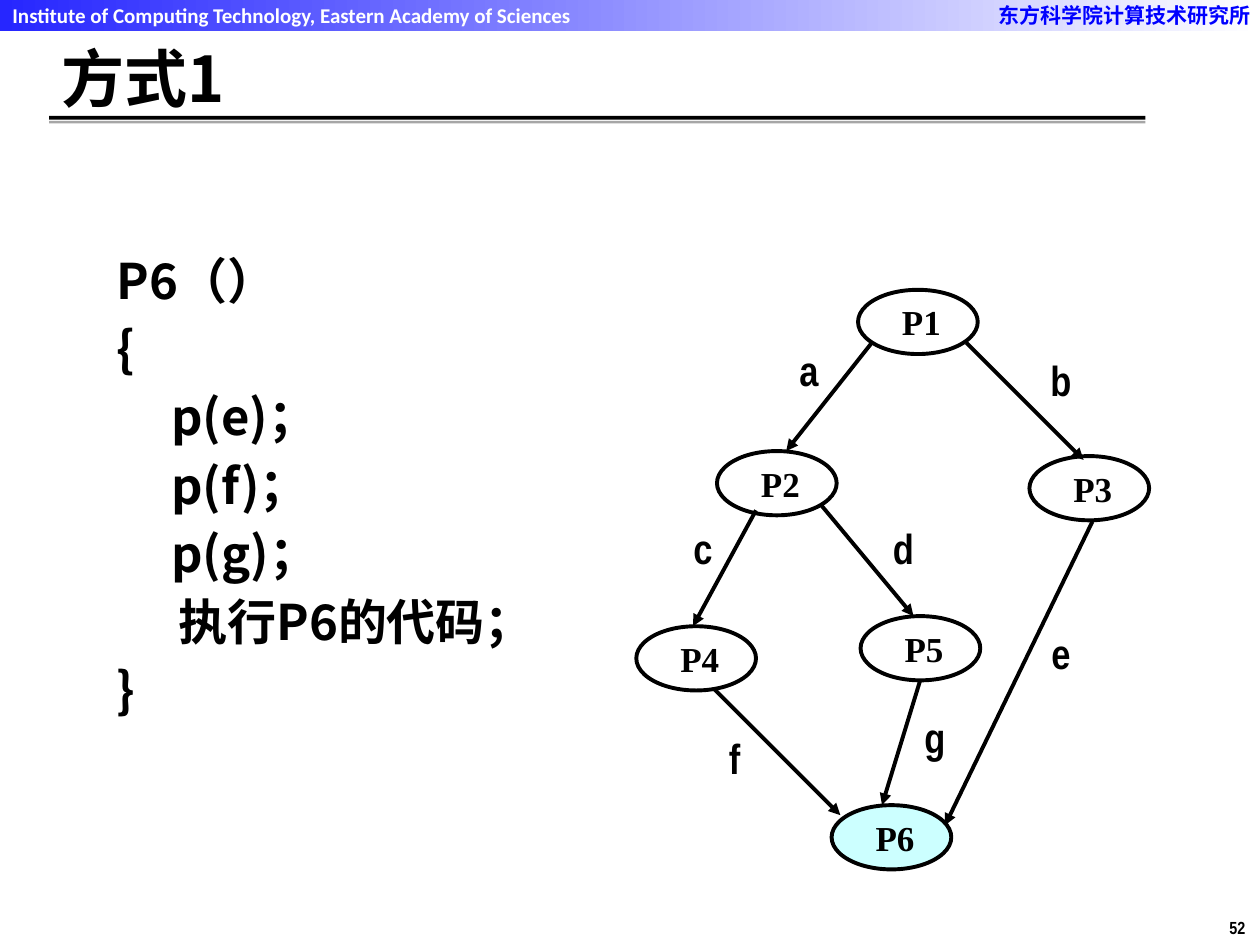
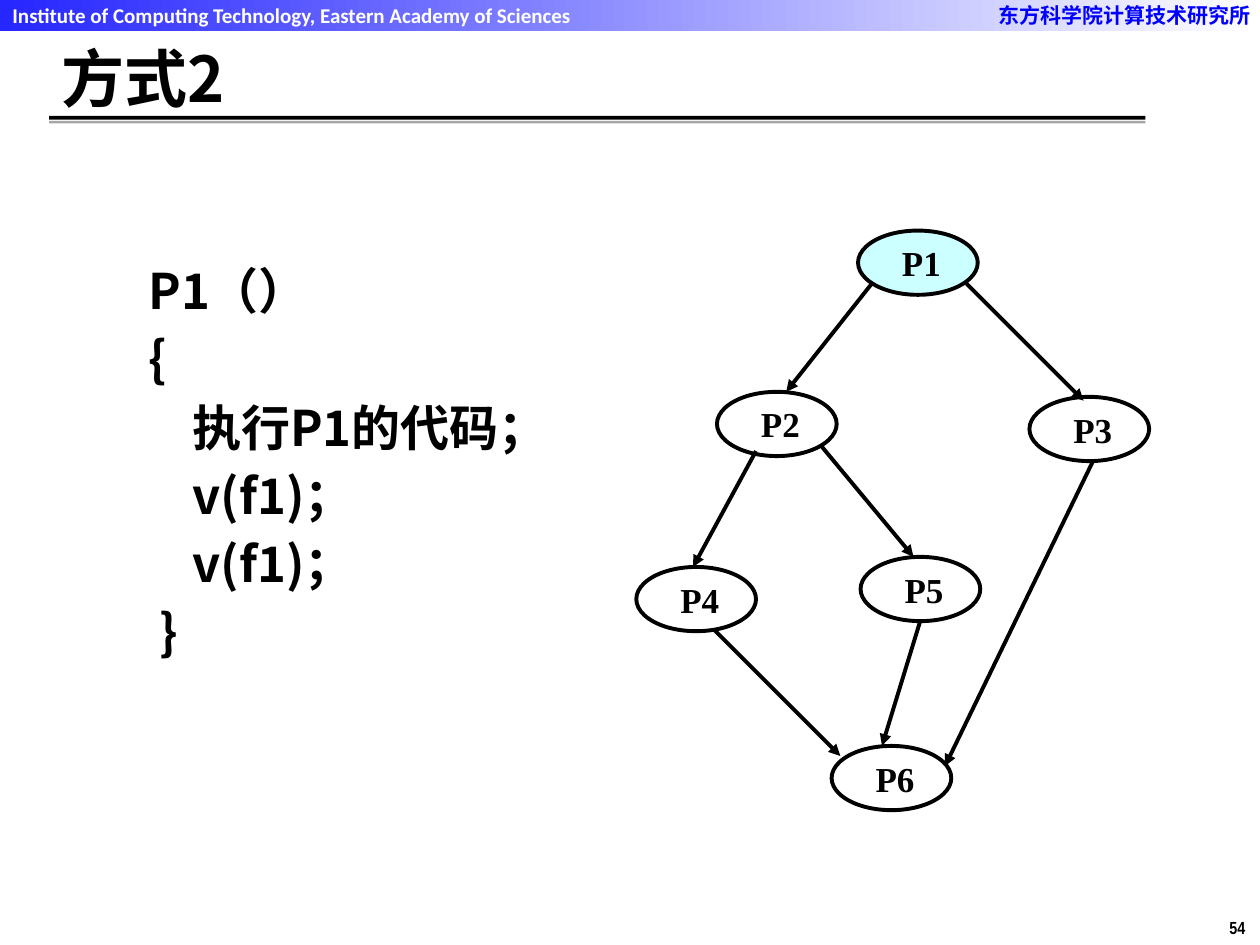
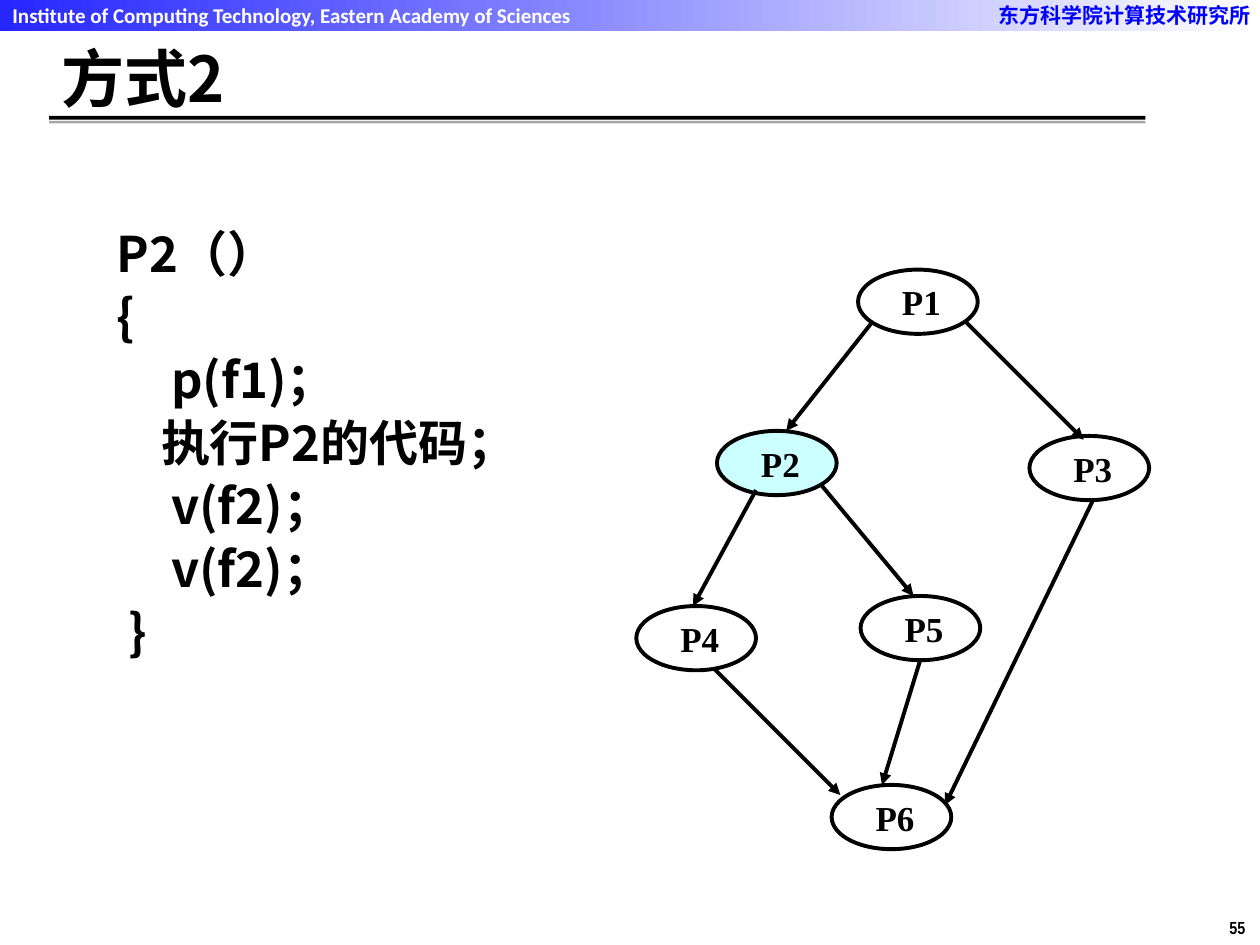
from dataclasses import dataclass

from lxml import etree
from pptx import Presentation
from pptx import util as u
from pptx.dml.color import RGBColor
from pptx.enum import shapes, text
from pptx.oxml import ns


@dataclass(frozen=True)
class Theme:
    ink: str = "000000"
    paper: str = "FFFFFF"
    blue: str = "0000FF"
    band: str = "2626FF"
    shade: str = "A6A6A6"
    highlight: str = "CCFFFF"
    sans: str = "Noto Sans CJK SC"
    header: str = "Calibri"
    narrow: str = "Arial Narrow"
    serif: str = "Times New Roman"
    title_size: int = 36
    code_size: int = 28
    label_size: int = 24
    node_size: int = 20
    header_size: int = 12
    number_size: int = 10
    stroke: float = 2.25


THEME = Theme()

HEADERS = [
    ("Institute of Computing Technology, Eastern Academy of Sciences",
     (0, -0.03, 4.75, 0.3), THEME.header, THEME.paper),
    ("东方科学院计算技术研究所", (7.83, -0.03, 2.24, 0.3), THEME.sans, THEME.blue),
]
RULES = [((0.39, 0.92, 8.7, 0.03), THEME.ink), ((0.39, 0.96, 8.7, 0.02), THEME.shade)]

NODE_SIZE = (0.95, 0.51)
NODES = {
    "P1": (6.81, 0), "P2": (5.69, 1.28), "P3": (8.17, 1.32),
    "P4": (5.05, 2.67), "P5": (6.83, 2.59), "P6": (6.6, 4.09),
}
EDGES = [
    ((6.92, 0.42), (6.24, 1.28)),
    ((7.67, 0.42), (8.6, 1.35)),
    ((6, 1.75), (5.5, 2.67)),
    ((6.51, 1.7), (7.25, 2.59)),
    ((8.67, 1.84), (7.5, 4.25)),
    ((5.67, 3.17), (6.67, 4.17)),
    ((7.3, 3.11), (7, 4.09)),
]
LABEL_SIZE = (0.5, 0.42)
EDGE_LABELS = {
    "a": (6.17, 0.42), "b": (8.17, 0.5), "c": (5.33, 1.84), "d": (6.92, 1.84),
    "e": (8.17, 2.67), "f": (5.58, 3.5), "g": (7.17, 3.34),
}

PAGES = [
    dict(title="方式1", number="52", active="P6", graph_top=2.3, labels=EDGE_LABELS,
         code_box=(0.83, 1.92, 3.53, 4.27), pitch=32,
         code=[("P6（）", 0), ("{", 0), ("p(e)；", 0.43), ("p(f)；", 0.43),
               ("p(g)；", 0.43), ("执行P6的代码；", 0.49), ("}", 0)]),
    dict(title="方式2", number="54", active="P1", graph_top=1.83, labels={},
         code_box=(1.08, 2, 4, 4.25), pitch=32,
         code=[("P1（）", 0), ("{", 0), ("执行P1的代码；", 0.35),
               ("v(f1)；", 0.35), ("v(f1)；", 0.35), ("}", 0.09)]),
    dict(title="方式2", number="55", active="P2", graph_top=2.14, labels={},
         code_box=(0.83, 1.75, 3.7, 3.88), pitch=29,
         code=[("P2（）", 0), ("{", 0), ("p(f1)；", 0.43), ("执行P2的代码；", 0.35),
               ("v(f2)；", 0.43), ("v(f2)；", 0.43), ("}", 0.09)]),
]


def inches(values):
    return [u.Inches(value) for value in values]


def style(para, face, size, color=THEME.ink, align=text.PP_ALIGN.LEFT):
    para.alignment = align
    font = para.font
    font.name, font.size, font.bold = face, u.Pt(size), True
    font.color.rgb = RGBColor.from_string(color)
    defaults = para._p.get_or_add_pPr().find(ns.qn("a:defRPr"))
    etree.SubElement(defaults, ns.qn("a:ea")).set("typeface", face)


def set_margins(frame, left=0, top=0, right=0, bottom=0):
    frame.margin_left, frame.margin_top, frame.margin_right, frame.margin_bottom = inches(
        (left, top, right, bottom))


def add_text(page, words, place, face, size, color=THEME.ink,
             align=text.PP_ALIGN.LEFT, wrap=True):
    frame = page.shapes.add_textbox(*inches(place)).text_frame
    frame.word_wrap = wrap
    frame.vertical_anchor = text.MSO_ANCHOR.MIDDLE
    frame.text = words
    style(frame.paragraphs[0], face, size, color, align)
    return frame


def add_shape(page, kind, place, color=None):
    shape = page.shapes.add_shape(kind, *inches(place))
    shape.shadow.inherit = False
    shape.line.fill.background()
    if color:
        shape.fill.solid()
        shape.fill.fore_color.rgb = RGBColor.from_string(color)
    return shape


def furnish_layout(layout, page):
    for holder in list(layout.placeholders):
        if holder.placeholder_format.type != shapes.PP_PLACEHOLDER.TITLE:
            layout.shapes.element.remove(holder.element)
    band = add_shape(page, shapes.MSO_SHAPE.RECTANGLE, (0, 0, 10, 0.25))
    band.fill.gradient()
    band.fill.gradient_angle = 0
    for stop, color in zip(band.fill.gradient_stops, (THEME.band, THEME.paper)):
        stop.color.rgb = RGBColor.from_string(color)
    for words, place, face, color in HEADERS:
        add_text(page, words, place, face, THEME.header_size, color)
    for place, color in RULES:
        add_shape(page, shapes.MSO_SHAPE.RECTANGLE, place, color)
    for shape in list(page.shapes):
        if not shape.is_placeholder:
            layout.shapes.element.append(shape.element)


def add_title(page, words):
    title = page.shapes.title
    title.left, title.top, title.width, title.height = inches((0.39, 0.33, 8.68, 0.56))
    frame = title.text_frame
    frame.text = words
    frame.auto_size = text.MSO_AUTO_SIZE.NONE
    frame.vertical_anchor = text.MSO_ANCHOR.MIDDLE
    set_margins(frame, 0.1, 0.05, 0.1, 0.05)
    style(frame.paragraphs[0], THEME.sans, THEME.title_size)


def add_code(page, lines, place, pitch):
    frame = page.shapes.add_textbox(*inches(place)).text_frame
    frame.word_wrap = True
    set_margins(frame, 0.1, 0.09, 0.1, 0.05)
    frame.text = "\n".join(words for words, _ in lines)
    for para, (_, indent) in zip(frame.paragraphs, lines):
        style(para, THEME.sans, THEME.code_size, align=text.PP_ALIGN.JUSTIFY)
        para.line_spacing = u.Pt(pitch)
        para.space_after = u.Pt(7)
        para._p.get_or_add_pPr().set("marL", str(u.Inches(indent)))


def add_arrow(page, start, end):
    arrow = page.shapes.add_connector(shapes.MSO_CONNECTOR.STRAIGHT, *inches(start + end))
    arrow.line.width = u.Pt(THEME.stroke)
    arrow.line.color.rgb = RGBColor.from_string(THEME.ink)
    properties = arrow.element.spPr
    etree.SubElement(properties.find(ns.qn("a:ln")), ns.qn("a:tailEnd")).set("type", "triangle")
    etree.SubElement(properties, ns.qn("a:effectLst"))


def add_graph(page, top, active, labels):
    for name, (left, drop) in NODES.items():
        color = THEME.highlight if name == active else THEME.paper
        node = add_shape(page, shapes.MSO_SHAPE.OVAL, (left, top + drop, *NODE_SIZE), color)
        node.line.color.rgb = RGBColor.from_string(THEME.ink)
        node.line.width = u.Pt(THEME.stroke)
        frame = node.text_frame
        frame.text = name
        frame.vertical_anchor = text.MSO_ANCHOR.MIDDLE
        set_margins(frame, left=0.21)
        style(frame.paragraphs[0], THEME.serif, THEME.node_size)
    for start, end in EDGES:
        add_arrow(page, *((x, top + drop) for x, drop in (start, end)))
    for name, (left, drop) in labels.items():
        frame = add_text(page, name, (left, top + drop, *LABEL_SIZE), THEME.narrow,
                         THEME.label_size, align=text.PP_ALIGN.CENTER, wrap=False)
        set_margins(frame)


def main():
    deck = Presentation()
    deck.slide_width, deck.slide_height = inches((10, 7.5))
    layout = deck.slide_layouts.get_by_name("Title Only")
    for index, content in enumerate(PAGES):
        page = deck.slides.add_slide(layout)
        if index == 0:
            furnish_layout(layout, page)
        for holder in list(page.placeholders):
            if holder.placeholder_format.type != shapes.PP_PLACEHOLDER.TITLE:
                page.shapes.element.remove(holder.element)
        add_title(page, content["title"])
        add_code(page, content["code"], content["code_box"], content["pitch"])
        add_graph(page, content["graph_top"], content["active"], content["labels"])
        add_text(page, content["number"], (9.66, 7.23, 0.34, 0.27), THEME.narrow,
                 THEME.number_size, wrap=False)
    deck.save("out.pptx")


if __name__ == "__main__":
    main()
